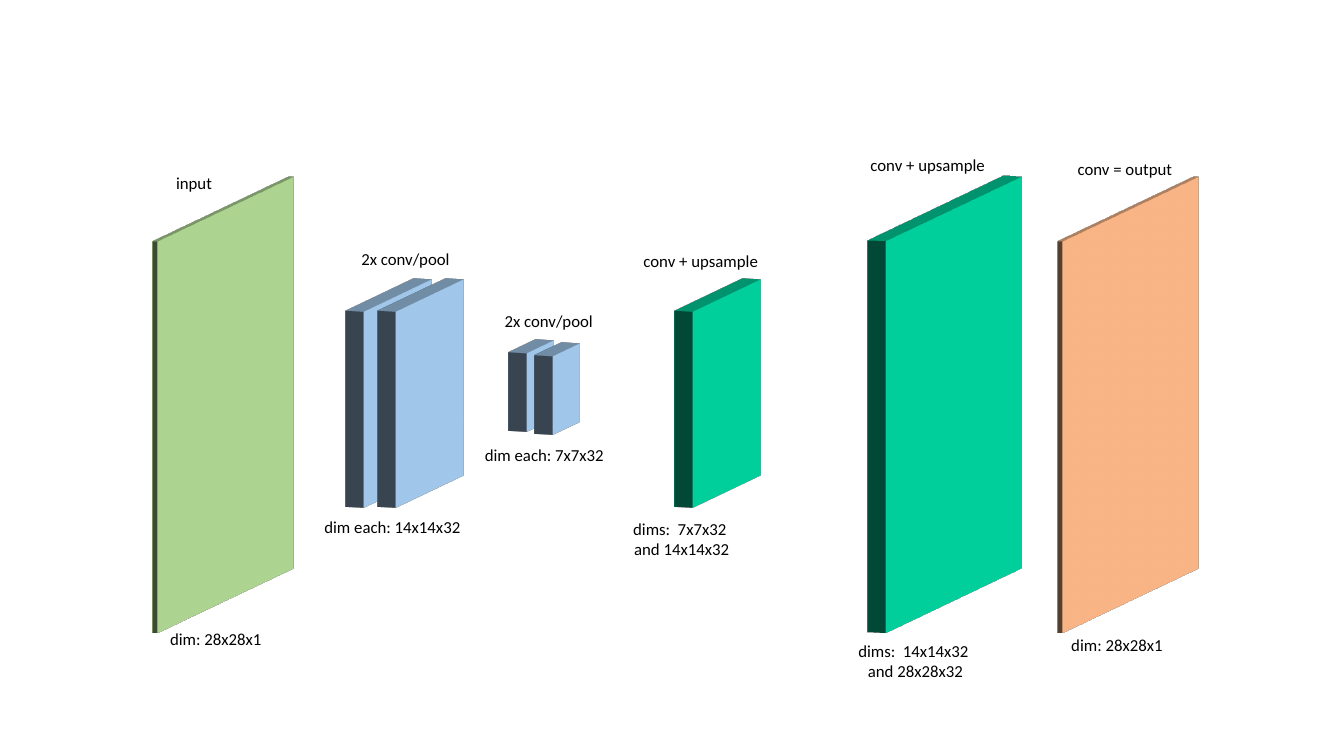
from lxml import etree
from pptx import Presentation
from pptx.dml.color import RGBColor as Rgb
from pptx.enum.shapes import MSO_SHAPE as Kind
from pptx.enum.text import MSO_AUTO_SIZE as Fit, PP_ALIGN as Align
from pptx.oxml.ns import qn
from pptx.util import Cm, Pt

THEME = {
    "font": "Calibri", "size": 12, "ink": "000000",
    "lime": "A9D18E", "blue": "9DC3E6", "teal": "00CC99", "peach": "F4B183",
}
THIN, THICK = Pt(4), Pt(14)
TILT, TURN = 10, 290  # camera angles in degrees

# Layers: colour, centre x, centre y, size (cm), depth, back to front
SLABS = [
    ("lime", 5.69, 10.19, 10, THIN),
    ("blue", 10.03, 9.92, 5, THICK),
    ("blue", 10.84, 9.92, 5, THICK),
    ("blue", 13.61, 9.74, 2, THICK),
    ("blue", 14.27, 9.81, 2, THICK),
    ("teal", 18.31, 9.92, 5, THICK),
    ("teal", 24.03, 10.19, 10, THICK),
    ("peach", 28.5, 10.19, 10, THIN),
]

# Labels: centre x, top, width (cm), lines
WIDE = 7.98
LABELS = [
    (4.89, 4.24, WIDE, ["input"]),
    (10.22, 6.15, WIDE, ["2x conv/pool"]),
    (9.89, 12.89, WIDE, ["dim each: 14x14x32"]),
    (5.44, 15.71, WIDE, ["dim: 28x28x1"]),
    (13.83, 7.71, WIDE, ["2x conv/pool"]),
    (13.72, 11.07, 5.23, ["dim each: 7x7x32"]),
    (17.66, 6.2, WIDE, ["conv + upsample"]),
    (17.18, 12.94, 4.11, ["dims:  7x7x32 ", "and 14x14x32"]),
    (23.38, 3.78, WIDE, ["conv + upsample"]),
    (23.07, 16.02, WIDE, ["dims:  14x14x32 ", "and 28x28x32"]),
    (28.35, 3.88, WIDE, ["conv = output"]),
    (28.15, 15.88, WIDE, ["dim: 28x28x1"]),
]


def node(parent, tag, **attrs):
    child = etree.SubElement(parent, qn(tag))
    for key, value in attrs.items():
        child.set(key, str(value))
    return child


def extrude(shape, depth):
    props = shape.element.spPr
    scene = node(props, "a:scene3d")
    camera = node(scene, "a:camera", prst="isometricOffAxis2Right")
    node(camera, "a:rot", lat=TILT * 60000, lon=TURN * 60000, rev=0)
    node(scene, "a:lightRig", rig="threePt", dir="t")
    node(props, "a:sp3d", extrusionH=int(depth))


def slab(slide, name, x, y, size, depth):
    shape = slide.shapes.add_shape(
        Kind.RECTANGLE, Cm(x - size / 2), Cm(y - size / 2), Cm(size), Cm(size))
    shape.fill.solid()
    shape.fill.fore_color.rgb = Rgb.from_string(THEME[name])
    shape.line.fill.background()
    shape.shadow.inherit = False
    extrude(shape, depth)


def label(slide, x, y, width, lines):
    tall = 0.25 + 0.51 * len(lines)
    box = slide.shapes.add_textbox(
        Cm(x - width / 2), Cm(y), Cm(width), Cm(tall))
    frame = box.text_frame
    frame.word_wrap = True
    frame.auto_size = Fit.SHAPE_TO_FIT_TEXT
    para = frame.paragraphs[0]
    para.alignment = Align.CENTER
    for i, line in enumerate(lines):
        if i:
            para.add_line_break()
        run = para.add_run()
        run.text = line
        run.font.name = THEME["font"]
        run.font.size = Pt(THEME["size"])
        run.font.color.rgb = Rgb.from_string(THEME["ink"])
    # The break takes the type size of the text around it
    for gap in para._p.findall(qn("a:br")):
        node(gap, "a:rPr", sz=THEME["size"] * 100)


def main():
    deck = Presentation()
    deck.slide_width, deck.slide_height = Cm(33.87), Cm(19.05)
    slide = deck.slides.add_slide(deck.slide_layouts[6])
    for item in SLABS:
        slab(slide, *item)
    for item in LABELS:
        label(slide, *item)
    deck.save("out.pptx")


if __name__ == "__main__":
    main()
